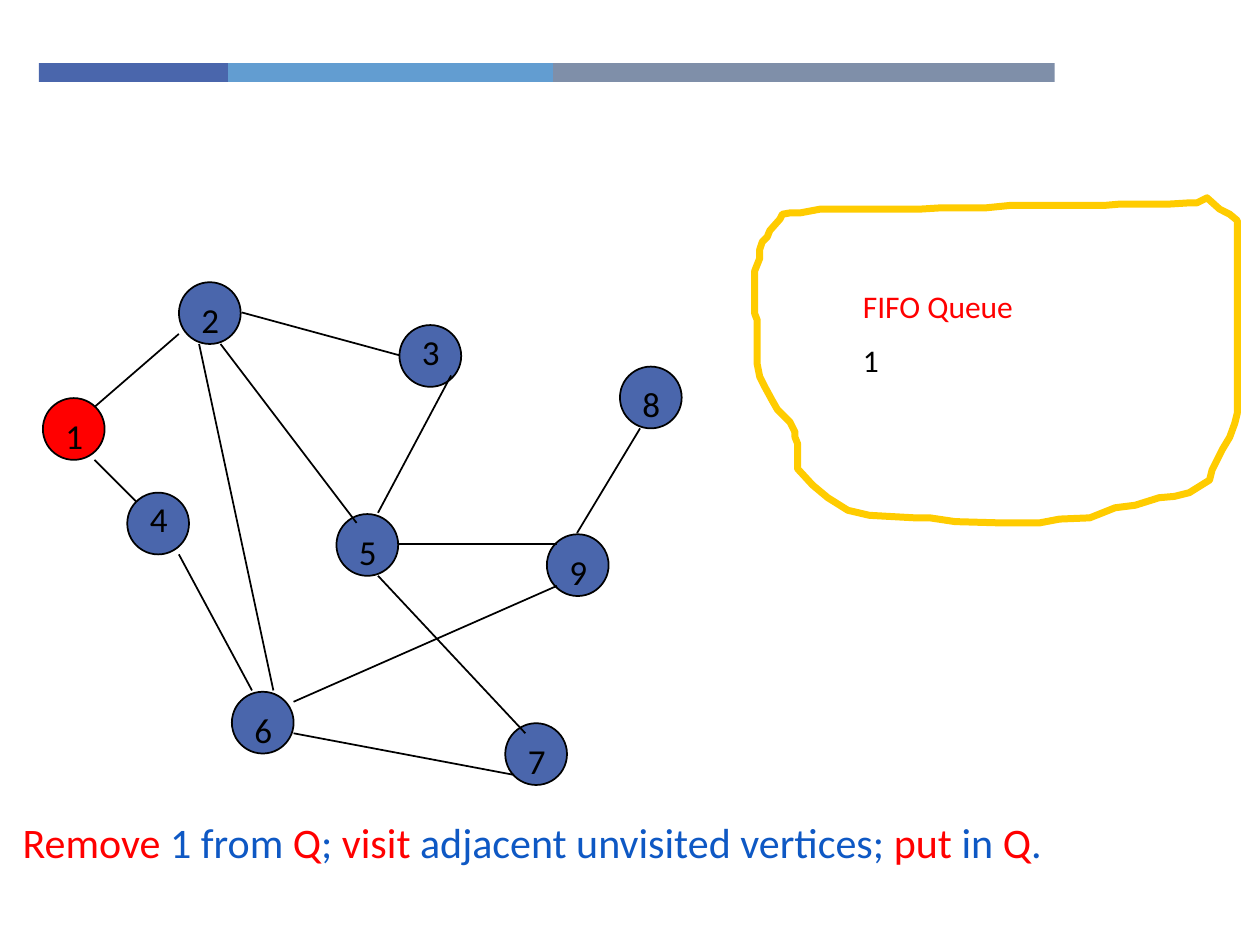
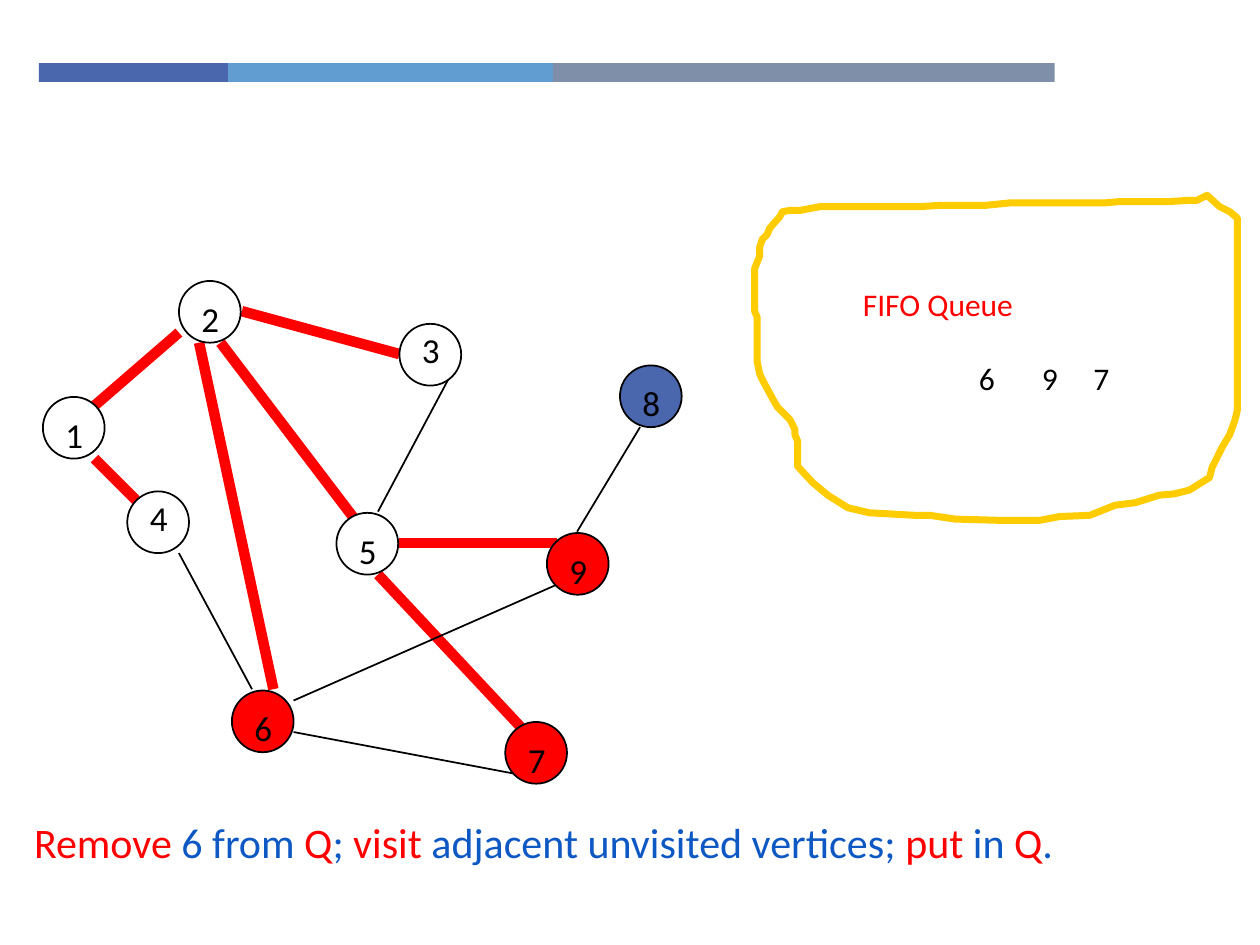
from dataclasses import dataclass

from lxml.etree import SubElement
from pptx import Presentation
from pptx.dml.color import RGBColor
from pptx.enum.shapes import MSO_CONNECTOR as CONNECTOR, MSO_SHAPE as SHAPE
from pptx.enum.text import MSO_ANCHOR as ANCHOR, MSO_AUTO_SIZE as AUTO_SIZE, PP_ALIGN as ALIGN
from pptx.oxml.ns import qn
from pptx.util import Inches, Pt


@dataclass(frozen=True)
class Theme:
    font: str = "Calibri"
    blue: str = "4A66AC"
    sky: str = "629DD1"
    slate: str = "7F8FA9"
    red: str = "FF0000"
    caption_blue: str = "0E58C4"
    amber: str = "FFCC00"
    black: str = "000000"
    white: str = "FFFFFF"
    caption_size: int = 24
    label_size: int = 20
    queue_size: int = 18
    thin: int = 1
    thick: int = 6
    outline: int = 4


THEME = Theme()
NODE_SIZE = 0.49
LABEL_SIZE = (0.25, 0.43)

# Places inside the graph box, in inches
NODES = {
    1: (0, 0.92), 2: (1.08, 0), 3: (2.83, 0.34),
    4: (0.67, 1.67), 5: (2.33, 1.84), 6: (1.5, 3.25),
    7: (3.67, 3.5), 8: (4.58, 0.67), 9: (4, 2),
}
RAISED_LABELS = {3, 4}
EDGES = {
    (1, 2): ((1.08, 0.41), (0.41, 0.99)),
    (1, 4): ((0.41, 1.41), (0.74, 1.74)),
    (2, 3): ((1.58, 0.24), (2.83, 0.58)),
    (2, 5): ((1.41, 0.49), (2.49, 1.91)),
    (2, 6): ((1.24, 0.49), (1.83, 3.24)),
    (3, 5): ((3.24, 0.74), (2.66, 1.83)),
    (4, 6): ((1.08, 2.16), (1.66, 3.24)),
    (5, 7): ((2.66, 2.33), (3.83, 3.58)),
    (5, 9): ((2.83, 2.08), (4.08, 2.08)),
    (6, 7): ((1.99, 3.58), (3.74, 3.91)),
    (6, 9): ((1.99, 3.33), (4.08, 2.41)),
    (8, 9): ((4.74, 1.16), (4.24, 1.99)),
}

# Hand-drawn queue outline inside the queue box, in inches
QUEUE_OUTLINE = [
    (3.59, 0), (3.51, 0.04), (3.45, 0.04), (3.29, 0.05), (2.9, 0.05),
    (2.78, 0.06), (2.03, 0.06), (1.83, 0.08), (1.47, 0.08), (1.31, 0.09),
    (0.52, 0.09), (0.36, 0.12), (0.28, 0.12), (0.22, 0.13), (0.2, 0.17),
    (0.12, 0.26), (0.1, 0.31), (0.06, 0.35), (0.04, 0.41), (0.04, 0.48),
    (0, 0.58), (0, 0.92), (0.02, 0.97), (0.02, 1.32), (0.04, 1.42),
    (0.08, 1.5), (0.14, 1.61), (0.18, 1.68), (0.28, 1.78), (0.32, 1.86),
    (0.32, 1.9), (0.34, 1.95), (0.34, 2.15), (0.46, 2.28), (0.58, 2.38),
    (0.74, 2.48), (0.91, 2.52), (1.27, 2.54), (1.39, 2.54), (1.59, 2.57),
    (1.95, 2.58), (2.26, 2.58), (2.42, 2.55), (2.66, 2.54), (2.86, 2.46),
    (3.02, 2.44), (3.21, 2.38), (3.33, 2.37), (3.45, 2.34), (3.61, 2.24),
    (3.63, 2.16), (3.71, 2), (3.77, 1.9), (3.81, 1.79), (3.83, 1.71),
    (3.83, 0.18), (3.77, 0.13), (3.69, 0.09),
]


def box_at(left, top, width, height):
    return [Inches(length) for length in (left, top, width, height)]


def paint(shape, fill=None, line=None, width=THEME.thin):
    shape.shadow.inherit = False
    for part, color in ((shape.fill, fill), (shape.line.fill, line)):
        if color:
            part.solid()
            part.fore_color.rgb = RGBColor.from_string(color)
        else:
            part.background()
    if line:
        shape.line.width = Pt(width)


def add_run(paragraph, text, size, color):
    run = paragraph.add_run()
    run.text = text
    for name, value in {"name": THEME.font, "size": Pt(size), "bold": False}.items():
        setattr(run.font, name, value)
    run.font.color.rgb = RGBColor.from_string(color)


def add_text(slide, box, size, lines):
    """Add a text box with one paragraph for each (text, colour) line."""
    frame = slide.shapes.add_textbox(*box_at(*box)).text_frame
    frame.word_wrap = True
    for index, (text, color) in enumerate(lines):
        paragraph = frame.add_paragraph() if index else frame.paragraphs[0]
        paragraph.space_before = Pt(size / 2)
        add_run(paragraph, text, size, color)


def add_band(slide, left, top, height):
    """Build the three-part band and hand it to the layout all slides share."""
    layout_tree = slide.slide_layout.shapes.element
    for width, color in ((1.5, THEME.blue), (2.58, THEME.sky), (3.98, THEME.slate)):
        segment = slide.shapes.add_shape(SHAPE.RECTANGLE, *box_at(left, top, width, height))
        paint(segment, color)
        layout_tree.append(segment.element)
        left += width


def add_caption(slide, left, vertex):
    caption = slide.placeholders[1]
    caption.left, caption.top, caption.width, caption.height = box_at(left, 6.43, 9.83, 0.78)
    frame = caption.text_frame
    for name, value in {"word_wrap": True, "auto_size": AUTO_SIZE.NONE,
                        "vertical_anchor": ANCHOR.TOP}.items():
        setattr(frame, name, value)
    paragraph = frame.paragraphs[0]
    paragraph.alignment = ALIGN.LEFT
    paragraph.space_before = Pt(20)
    properties = paragraph.element.get_or_add_pPr() if hasattr(paragraph, "element") \
        else paragraph._p.get_or_add_pPr()
    properties.set("marL", str(Inches(0.5)))
    properties.set("indent", str(Inches(-0.5)))
    SubElement(properties, qn("a:buNone"))
    words = ["Remove", f" {vertex} from ", "Q", "; ", "visit",
             " adjacent unvisited vertices; ", "put", " in ", "Q", "."]
    for index, text in enumerate(words):
        add_run(paragraph, text, THEME.caption_size,
                THEME.caption_blue if index % 2 else THEME.red)


def add_edges(slide, left, top, tree_edges):
    for edge, ends in EDGES.items():
        points = [Inches(length) for x, y in ends for length in (left + x, top + y)]
        connector = slide.shapes.add_connector(CONNECTOR.STRAIGHT, *points)
        in_tree = edge in tree_edges
        connector.line.width = Pt(THEME.thick if in_tree else THEME.thin)
        connector.line.color.rgb = RGBColor.from_string(THEME.red if in_tree else THEME.black)
        SubElement(connector.element.spPr, qn("a:effectLst"))


def add_nodes(slide, left, top, node_colors):
    for vertex, (x, y) in NODES.items():
        node = slide.shapes.add_shape(
            SHAPE.OVAL, *box_at(left + x, top + y, NODE_SIZE, NODE_SIZE))
        paint(node, node_colors.get(vertex, THEME.blue), THEME.black)
    for vertex, (x, y) in NODES.items():
        drop = -0.01 if vertex in RAISED_LABELS else 0.08
        add_text(slide, (left + x + 0.08, top + y + drop, *LABEL_SIZE),
                 THEME.label_size, [(str(vertex), THEME.black)])


def add_queue(slide, left, top, lines, waiting=()):
    """Draw the queue; waiting holds (vertex, x) pairs for its spaced entries."""
    points = [(Inches(x), Inches(y)) for x, y in QUEUE_OUTLINE]
    builder = slide.shapes.build_freeform(*points[0])
    builder.add_line_segments(points[1:], close=True)
    outline = builder.convert_to_shape(Inches(left), Inches(top))
    paint(outline, line=THEME.amber, width=THEME.outline)
    add_text(slide, (left + 0.76, top + 0.66, 3.08, 0.86), THEME.queue_size,
             [("FIFO Queue", THEME.red), *lines])
    for vertex, x in waiting:
        add_text(slide, (left + x, top + 1.25, 0.42, 0.63),
                 THEME.queue_size, [(str(vertex), THEME.black)])


def new_slide(deck):
    slide = deck.slides.add_slide(deck.slide_layouts[1])
    title = slide.shapes.title.element
    title.getparent().remove(title)
    return slide


def add_start_slide(deck):
    slide = new_slide(deck)
    add_band(slide, 0.31, 0.5, 0.15)
    add_caption(slide, 0.08, 1)
    add_nodes(slide, 0.34, 2.24, {1: THEME.red})
    add_edges(slide, 0.34, 2.24, ())
    add_queue(slide, 5.99, 1.57, [("1", THEME.black)])


def add_progress_slide(deck):
    slide = new_slide(deck)
    tree_edges = {(1, 2), (1, 4), (2, 3), (2, 5), (2, 6), (5, 7), (5, 9)}
    node_colors = {**dict.fromkeys(range(1, 6), THEME.white),
                   **dict.fromkeys((6, 7, 9), THEME.red)}
    add_caption(slide, 0.17, 6)
    add_edges(slide, 0.34, 2.23, tree_edges)
    add_nodes(slide, 0.34, 2.23, node_colors)
    add_queue(slide, 5.99, 1.55, [], [(6, 1.68), (9, 2.18), (7, 2.59)])


def main():
    deck = Presentation()
    deck.slide_width, deck.slide_height = Inches(10), Inches(7.5)
    add_start_slide(deck)
    add_progress_slide(deck)
    deck.save("out.pptx")


if __name__ == "__main__":
    main()
